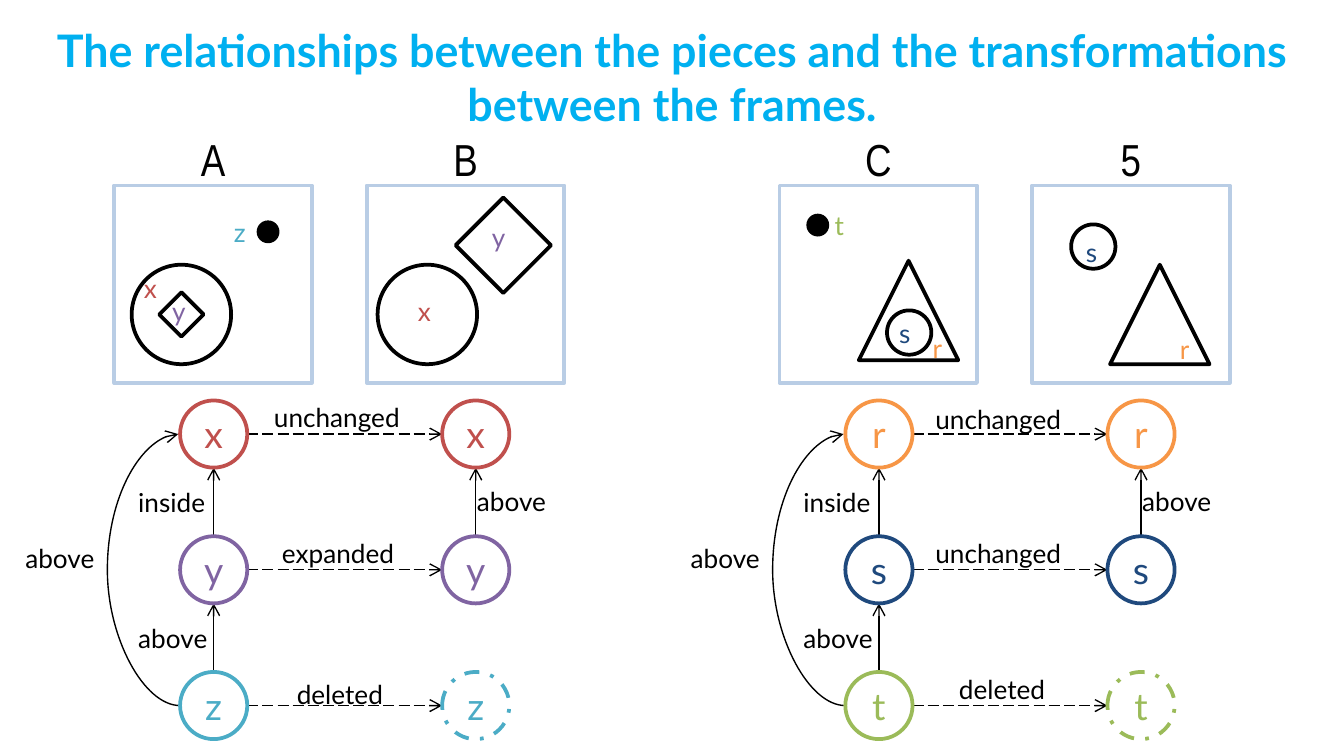
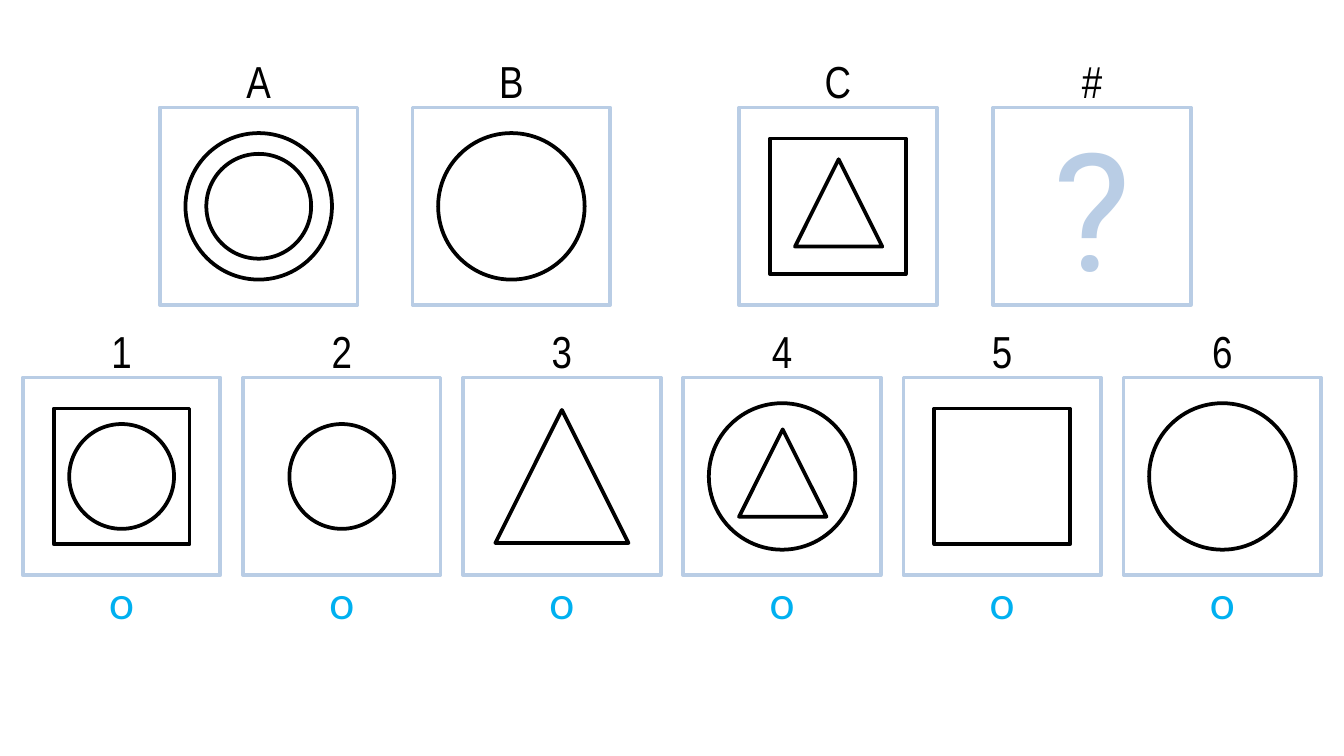
from dataclasses import dataclass
from typing import Any, Optional

import pptx
import pptx.dml.color
import pptx.enum.dml
import pptx.enum.shapes
import pptx.enum.text
import pptx.oxml
import pptx.oxml.ns
import pptx.util

# Grid: the slide is 100 columns by 56.25 rows of square cells
COLS, ROWS = 100, 56.25
CELL = pptx.util.Inches(0.1)

COLORS = {
    "white": "FFFFFF", "ink": "000000", "accent": "00B0F0", "frame": "B9CDE5",
    "x": "C0504D", "y": "8064A2", "z": "4BACC6",
    "r": "F79646", "s": "1F497D", "t": "9BBB59",
}
BODY, CAPTION, MARK = "Lato", "Arial Narrow", "Roboto"
LETTER_COLS = {"x": 1.1, "y": 1.2, "z": 1, "r": 1, "s": 0.8, "t": 0.9}

FRAME = 14.7          # side of a frame
CAPTION_ROWS = 4
NODE = 5              # diameter of a graph node
NODE_ROWS = (29.8, 39.9, 50)
NODE_GAP = 19.5       # from the first node column to the second
LINE_ROWS = 2.4       # height of one 14 pt line

SHAPE = pptx.enum.shapes.MSO_SHAPE
LINK = pptx.enum.shapes.MSO_CONNECTOR
DASH = pptx.enum.dml.MSO_LINE
ALIGN = pptx.enum.text.PP_ALIGN
ANCHOR = pptx.enum.text.MSO_ANCHOR
FIT = pptx.enum.text.MSO_AUTO_SIZE


@dataclass(frozen=True)
class Piece:
    """A figure; dx and dy run from the frame's centre to its own."""
    kind: Any
    size: float
    dx: float = 0
    dy: float = 0
    solid: bool = False


@dataclass(frozen=True)
class Tag:
    """A piece's letter, placed from the frame's top left corner."""
    letter: str
    dx: float
    dy: float


@dataclass(frozen=True)
class Frame:
    caption: str
    col: float
    row: float
    pieces: tuple[Piece, ...] = ()
    tags: tuple[Tag, ...] = ()


@dataclass(frozen=True)
class Relation:
    """A relation label, placed from the graph's first column."""
    text: str
    dx: float
    row: float
    cols: float


@dataclass(frozen=True)
class Transform:
    text: str
    cols: float
    dy: float


@dataclass(frozen=True)
class Graph:
    col: float
    letters: str
    center: float     # middle of the transform labels
    pad: float        # side inset of the transform labels
    transforms: tuple[Transform, ...]


# Figures used more than once
BIG_CIRCLE = Piece(SHAPE.OVAL, 10.9)
MID_CIRCLE = Piece(SHAPE.OVAL, 7.8)
SQUARE = Piece(SHAPE.RECTANGLE, 10.1)
BIG_TRIANGLE = Piece(SHAPE.ISOSCELES_TRIANGLE, 9.9)
SMALL_TRIANGLE = Piece(SHAPE.ISOSCELES_TRIANGLE, 6.5, 0.05, -0.25)

SOLVED_FRAMES = (
    Frame("A", 8.5, 13.8,
          (Piece(SHAPE.OVAL, 7.4, -2.35, 2.25),
           Piece(SHAPE.DIAMOND, 3.3, -2.35, 2.25),
           Piece(SHAPE.OVAL, 1.7, 4.1, -3.9, True)),
          (Tag("x", 2.2, 6.5), Tag("y", 4.3, 8.2), Tag("z", 8.9, 2.3))),
    Frame("B", 27.3, 13.8,
          (Piece(SHAPE.OVAL, 7.4, -2.85, 2.25),
           Piece(SHAPE.DIAMOND, 7.1, 2.8, -2.9)),
          (Tag("x", 3.8, 8.2), Tag("y", 9.3, 2.7))),
    Frame("C", 58, 13.8,
          (Piece(SHAPE.ISOSCELES_TRIANGLE, 7.4, 2.25, 1.95),
           Piece(SHAPE.OVAL, 1.7, -4.5, -4.4, True),
           Piece(SHAPE.OVAL, 3.3, 2.3, 3.6)),
          (Tag("r", 11.4, 10.9), Tag("s", 8.9, 9.8), Tag("t", 4.1, 1.8))),
    Frame("5", 76.8, 13.8,
          (Piece(SHAPE.OVAL, 3.3, -2.8, -2.8),
           Piece(SHAPE.ISOSCELES_TRIANGLE, 7.4, 2.15, 2.25)),
          (Tag("r", 11, 11), Tag("s", 4, 3.8))),
)
RELATIONS = (
    Relation("inside", -4.1, 35.7, 7.6),
    Relation("above", -4.1, 45.8, 7.5),
    Relation("above", -12.5, 39.9, 7.5),
    Relation("above", 21.1, 35.6, 7.5),
)
GRAPHS = (
    Graph(13.4, "xyz", 25.7, 1,
          (Transform("unchanged", 10.6, 0.1), Transform("expanded", 9.4, 0.1),
           Transform("deleted", 7.2, 0.5))),
    Graph(62.9, "rst", 74.9, 0,
          (Transform("unchanged", 10.6, 0.2), Transform("unchanged", 10.6, 0.1),
           Transform("deleted", 7.1, 0.1))),
)
QUESTION_ROW, ANSWER_ROW = 8, 28.1
QUESTION = (
    Frame("A", 11.9, QUESTION_ROW, (BIG_CIRCLE, MID_CIRCLE)),
    Frame("B", 30.7, QUESTION_ROW, (BIG_CIRCLE,)),
    Frame("C", 55, QUESTION_ROW, (SQUARE, SMALL_TRIANGLE)),
    Frame("#", 73.9, QUESTION_ROW),
)
ANSWERS = ((SQUARE, MID_CIRCLE), (MID_CIRCLE,), (BIG_TRIANGLE,),
           (BIG_CIRCLE, SMALL_TRIANGLE), (SQUARE,), (BIG_CIRCLE,))
ANSWER_LEFT, ANSWER_STEP = 1.7, 16.38


def cells(*values: float) -> list[pptx.util.Emu]:
    return [pptx.util.Emu(round(v * CELL)) for v in values]


def rgb(name: str) -> pptx.dml.color.RGBColor:
    return pptx.dml.color.RGBColor.from_string(COLORS[name])


# Text
def write(sp: Any, text: str, size: float, color: str, font: str = BODY,
          align: Any = ALIGN.CENTER, anchor: Any = ANCHOR.MIDDLE,
          pad: float = 0, bold: bool = False) -> None:
    tf = sp.text_frame
    tf.vertical_anchor = anchor
    tf.margin_left = tf.margin_right = cells(pad)[0]
    tf.margin_top = tf.margin_bottom = cells(pad / 2)[0]
    p = tf.paragraphs[0]
    p.alignment = align
    r = p.add_run()
    r.text = text
    r.font.name, r.font.size, r.font.bold = font, pptx.util.Pt(size), bold
    r.font.color.rgb = rgb(color)


def add_text(s: Any, box: tuple[float, ...], text: str, size: float,
             color: str, wrap: bool = True, **style: Any) -> None:
    sp = s.shapes.add_textbox(*cells(*box))
    write(sp, text, size, color, **style)
    sp.text_frame.word_wrap = wrap
    sp.text_frame.auto_size = FIT.SHAPE_TO_FIT_TEXT


def add_label(s: Any, box: tuple[float, ...], text: str,
              color: str = "ink", pad: float = 0) -> None:
    add_text(s, box, text, 14, color, wrap=False, align=ALIGN.LEFT,
             anchor=ANCHOR.TOP, pad=pad)


def add_caption(s: Any, col: float, row: float, text: str,
                color: str = "ink", font: str = CAPTION) -> None:
    add_text(s, (col, row, FRAME, CAPTION_ROWS), text, 24, color,
             font=font, anchor=ANCHOR.BOTTOM)


# Shapes and lines
def add_figure(s: Any, kind: Any, col: float, row: float, size: float,
               fill: Optional[str], line: Optional[str]) -> Any:
    sp = s.shapes.add_shape(kind, *cells(col, row, size, size))
    sp.shadow.inherit = False
    if fill:
        sp.fill.solid()
        sp.fill.fore_color.rgb = rgb(fill)
    else:
        sp.fill.background()
    if line:
        sp.line.color.rgb = rgb(line)
        sp.line.width = pptx.util.Pt(2)
    else:
        sp.line.fill.background()
    return sp


def add_arrow(s: Any, x1: float, y1: float, x2: float, y2: float,
              kind: Any = LINK.STRAIGHT, dashed: bool = False) -> Any:
    c = s.shapes.add_connector(kind, *cells(x1, y1, x2, y2))
    c.line.color.rgb = rgb("ink")
    c.line.width = pptx.util.Pt(0.75)
    if dashed:
        c.line.dash_style = DASH.LONG_DASH
    ns = pptx.oxml.ns.nsdecls("a")
    c.line._get_or_add_ln().append(
        pptx.oxml.parse_xml(f'<a:tailEnd {ns} type="arrow"/>'))
    c._element.spPr.append(pptx.oxml.parse_xml(f"<a:effectLst {ns}/>"))
    return c


def add_arc(s: Any, col: float, top: float, bottom: float,
            bulge: float = 5.35, width: float = 0.14) -> None:
    """Curve from bottom up to top, bowing out to the left."""
    c = add_arrow(s, col - width, top, col, bottom, LINK.CURVE)
    spPr = c._element.spPr
    spPr.find(pptx.oxml.ns.qn("a:xfrm")).set("rot", "10800000")
    geom = spPr.find(pptx.oxml.ns.qn("a:prstGeom"))
    for old in list(geom):
        geom.remove(old)
    geom.append(pptx.oxml.parse_xml(
        f'<a:avLst {pptx.oxml.ns.nsdecls("a")}><a:gd name="adj1" '
        f'fmla="val {round(bulge / width * 100000)}"/></a:avLst>'))


def add_frame(s: Any, f: Frame) -> Any:
    sp = add_figure(s, SHAPE.RECTANGLE, f.col, f.row, FRAME, None, "frame")
    for piece in f.pieces:
        shift = (FRAME - piece.size) / 2
        add_figure(s, piece.kind, f.col + shift + piece.dx,
                   f.row + shift + piece.dy, piece.size,
                   "ink" if piece.solid else "white",
                   None if piece.solid else "ink")
    add_caption(s, f.col, f.row - CAPTION_ROWS, f.caption)
    for tag in f.tags:
        add_label(s, (f.col + tag.dx, f.row + tag.dy,
                      LETTER_COLS[tag.letter], LINE_ROWS),
                  tag.letter, tag.letter)
    return sp


def add_graph(s: Any, g: Graph) -> None:
    right, half = g.col + NODE_GAP, NODE / 2
    first, second, third = NODE_ROWS
    # Relations within a frame
    add_arc(s, g.col, first + half, third + half)
    for col, upper, lower in ((g.col, second, third), (g.col, first, second),
                              (right, first, second)):
        add_arrow(s, col + half, lower, col + half, upper + NODE)
    for rel in RELATIONS:
        add_label(s, (g.col + rel.dx, rel.row, rel.cols, LINE_ROWS + 1),
                  rel.text, pad=1)
    # Transformations between frames, and the nodes they join
    for row, letter, t in zip(NODE_ROWS, g.letters, g.transforms):
        add_arrow(s, g.col + NODE, row + half, right, row + half, dashed=True)
        add_label(s, (g.center - t.cols / 2 - g.pad, row + t.dy - g.pad / 2,
                      t.cols + 2 * g.pad, LINE_ROWS + g.pad),
                  t.text, pad=g.pad)
        for col in (g.col, right):
            node = add_figure(s, SHAPE.OVAL, col, row, NODE, "white", letter)
            write(node, letter, 20, letter)
            if col == right and t.text == "deleted":
                node.line.dash_style = DASH.DASH_DOT


# Slides
def build_relations(s: Any) -> None:
    add_text(s, (0, 1.2, COLS, 9.1),
             "The relationships between the pieces and the transformations "
             "between the frames.", 24, "accent", anchor=ANCHOR.TOP,
             pad=1, bold=True)
    for f in SOLVED_FRAMES:
        add_frame(s, f)
    for g in GRAPHS:
        add_graph(s, g)


def build_puzzle(s: Any) -> None:
    for f in QUESTION:
        sp = add_frame(s, f)
    write(sp, "?", 88, "frame", font=MARK, pad=1)
    for i, pieces in enumerate(ANSWERS):
        col = ANSWER_LEFT + i * ANSWER_STEP
        add_frame(s, Frame(str(i + 1), col, ANSWER_ROW, pieces))
        add_caption(s, col, ANSWER_ROW + FRAME, "ο", "accent", BODY)


def main() -> None:
    prs = pptx.Presentation()
    prs.slide_width, prs.slide_height = cells(COLS, ROWS)
    for build in (build_relations, build_puzzle):
        build(prs.slides.add_slide(prs.slide_layouts[6]))
    prs.save("out.pptx")


if __name__ == "__main__":
    main()
